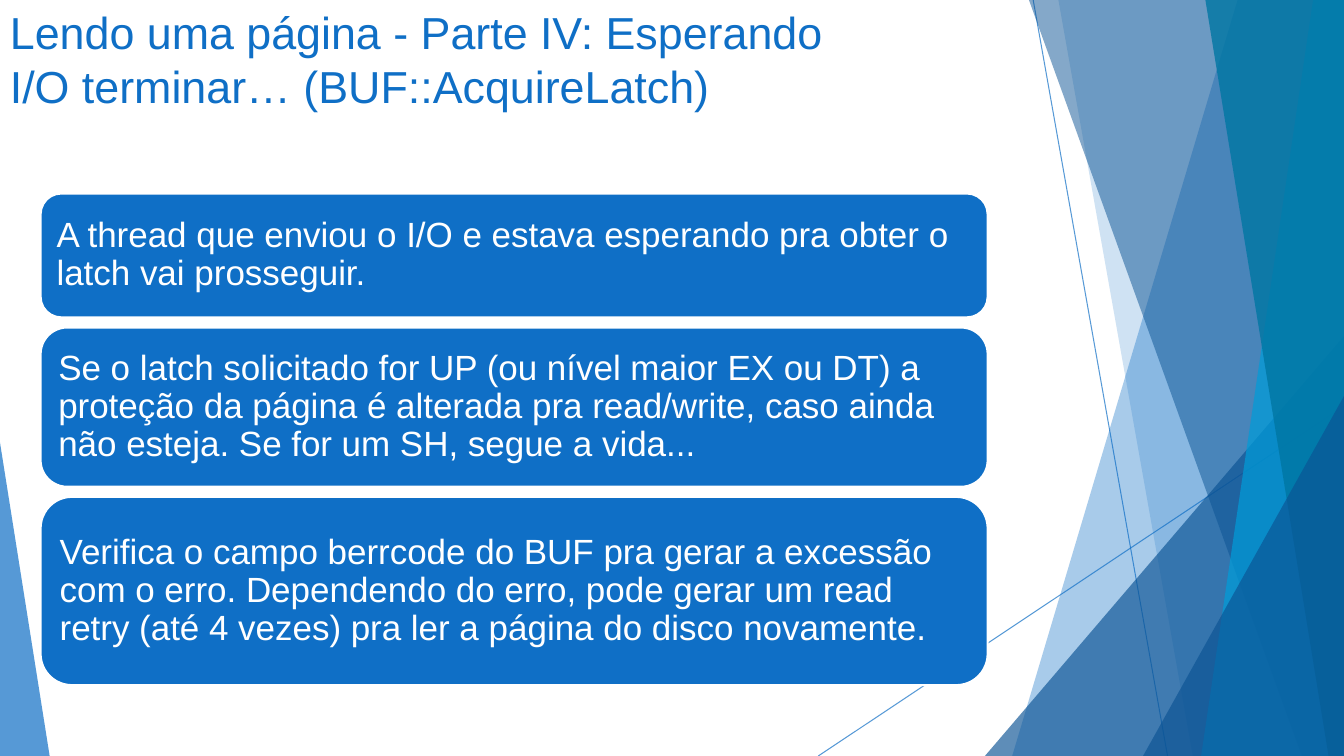
from lxml import etree
from pptx import Presentation
from pptx.dml.color import RGBColor
from pptx.enum import shapes, text
from pptx.oxml import ns
from pptx.util import Pt

COLORS = {
    "blue": "0F6FC6",
    "navy": "0B5394",
    "cyan": "009DD9",
    "teal": "0076A3",
    "white": "FFFFFF",
}
WIDTH, HEIGHT = 960, 540


def set_opacity(shape, percent):
    """Give every colour of the shape the same opacity."""
    for color in shape._element.spPr.iter(ns.qn("a:srgbClr")):
        etree.SubElement(color, ns.qn("a:alpha"), val=str(percent * 1000))


def write(shape, content, size, color, anchor, margins, line_spacing=1.0):
    """Fill the shape with one paragraph; margins are (horizontal, vertical)."""
    frame = shape.text_frame
    frame.word_wrap = True
    frame.vertical_anchor = anchor
    frame.margin_left = frame.margin_right = Pt(margins[0])
    frame.margin_top = frame.margin_bottom = Pt(margins[1])
    paragraph = frame.paragraphs[0]
    paragraph.alignment = text.PP_ALIGN.LEFT
    paragraph.line_spacing = line_spacing
    run = paragraph.add_run()
    run.text = content
    run.font.name = "Arial"
    run.font.size = Pt(size)
    run.font.color.rgb = RGBColor.from_string(COLORS[color])


presentation = Presentation()
presentation.slide_width, presentation.slide_height = Pt(WIDTH), Pt(HEIGHT)
slide = presentation.slides.add_slide(presentation.slide_layouts[6])

# Thin background lines
for start_x, start_y, end_x, end_y in [(738, 0, 834, HEIGHT), (WIDTH, 290, 584.5, HEIGHT)]:
    line = slide.shapes.add_connector(
        shapes.MSO_CONNECTOR.STRAIGHT, Pt(start_x), Pt(start_y), Pt(end_x), Pt(end_y)
    )
    line.line.width = Pt(0.75)
    line.line.color.rgb = RGBColor.from_string(COLORS["blue"])
    set_opacity(line, 70)
    etree.SubElement(line._element.spPr, ns.qn("a:effectLst"))

# Translucent facets, back to front. A band runs from its top left and bottom
# left corners to the right edge; a triangle stands on the bottom edge.
facets = [
    ("band", (884, 723), "blue", 36),
    ("band", (756, 852), "blue", 20),
    ("triangle", (703.5, 256.5, 240, 1), "navy", 66),
    ("band", (735, 929.5), "navy", 50),
    ("band", (938, 858), "cyan", 70),
    ("band", (861, 949), "teal", 80),
    ("triangle", (816.5, 143.5, 283, 1), "navy", 66),
    ("triangle", (0, 35.5, 316, 0), "blue", 70),
]
for kind, geometry, color, opacity in facets:
    if kind == "band":
        top_x, bottom_x = geometry
        builder = slide.shapes.build_freeform(top_x, 0, scale=Pt(1))
        builder.add_line_segments([(WIDTH, 0), (WIDTH, HEIGHT), (bottom_x, HEIGHT)])
        facet = builder.convert_to_shape()
    else:
        left, width, top, apex = geometry
        facet = slide.shapes.add_shape(
            shapes.MSO_SHAPE.ISOSCELES_TRIANGLE, Pt(left), Pt(top), Pt(width), Pt(HEIGHT - top)
        )
        facet.adjustments[0] = apex
    facet.shadow.inherit = False
    facet.line.fill.background()
    facet.fill.solid()
    facet.fill.fore_color.rgb = RGBColor.from_string(COLORS[color])
    set_opacity(facet, opacity)

title = slide.shapes.add_textbox(0, 0, Pt(628), Pt(104))
write(
    title,
    "Lendo uma página - Parte IV: Esperando I/O terminar… (BUF::AcquireLatch)",
    size=32, color="blue", anchor=text.MSO_ANCHOR.TOP, margins=(7.2, 3.6),
)

# Stacked steps, separated by an equal gap
steps = [
    (88.5, "A thread que enviou o I/O e estava esperando pra obter o latch vai prosseguir."),
    (113.75, "Se o latch solicitado for UP (ou nível maior EX ou DT) a proteção da página é "
             "alterada pra read/write, caso ainda não esteja. Se for um SH, segue a vida..."),
    (134.5, "Verifica o campo berrcode do BUF pra gerar a excessão com o erro. Dependendo do "
            "erro, pode gerar um read retry (até 4 vezes) pra ler a página do disco novamente."),
]
STEP_GAP = 7.2
step_top = 138.25
for step_height, content in steps:
    step = slide.shapes.add_shape(
        shapes.MSO_SHAPE.ROUNDED_RECTANGLE, Pt(29), Pt(step_top), Pt(676.5), Pt(step_height)
    )
    step.shadow.inherit = False
    step.fill.solid()
    step.fill.fore_color.rgb = RGBColor.from_string(COLORS["blue"])
    step.line.color.rgb = RGBColor.from_string(COLORS["white"])
    step.line.width = Pt(1.5)
    write(
        step, content, size=25, color="white",
        anchor=text.MSO_ANCHOR.MIDDLE, margins=(7.2, 7.2), line_spacing=0.9,
    )
    step_top += step_height + STEP_GAP

presentation.save("out.pptx")
